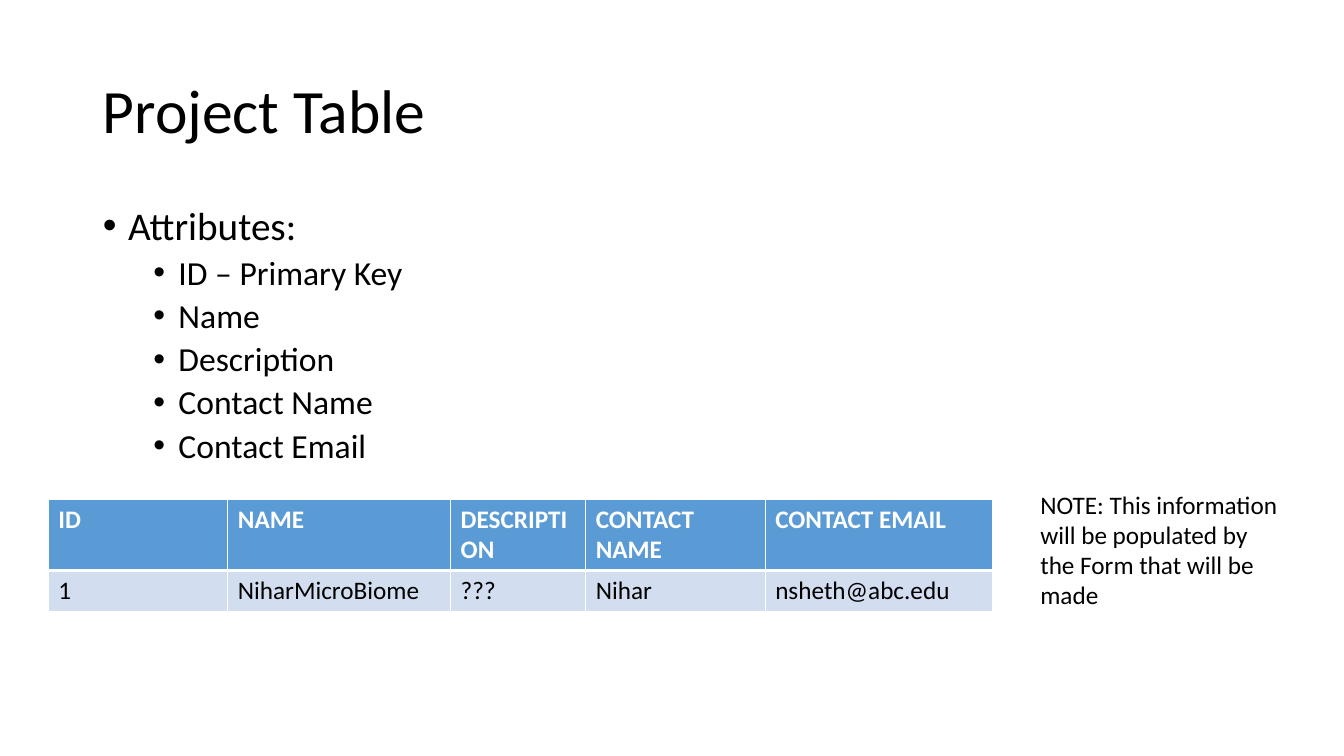
from lxml.etree import SubElement
from pptx import Presentation
from pptx.dml.color import RGBColor
from pptx.enum.text import MSO_ANCHOR, MSO_AUTO_SIZE, PP_ALIGN
from pptx.oxml.ns import qn
from pptx.util import Pt

EMU_PER_PX = 9144  # 100 px to the inch
FONT = "Calibri"
COLORS = {
    "text": "000000",
    "white": "FFFFFF",
    "header": "5B9BD5",
    "row": "D2DEEF",
}

ATTRIBUTES = ["ID – Primary Key", "Name", "Description", "Contact Name", "Contact Email"]
PROJECT_ROWS = [
    ["ID", "NAME", "DESCRIPTION", "CONTACT NAME", "CONTACT EMAIL"],
    ["1", "NiharMicroBiome", "???", "Nihar", "nsheth@abc.edu"],
]
COLUMN_WIDTHS = [178, 221, 134, 178, 226]
ROW_HEIGHTS = [70, 41]


def px(length):
    return length * EMU_PER_PX


def rgb(name):
    return RGBColor.from_string(COLORS[name])


class SlideBuilder:
    """Holds the text style and the slide being filled."""

    def __init__(self, slide):
        self.slide = slide

    def style(self, paragraph, size, color="text", bold=False):
        for run in paragraph.runs:
            run.font.name = FONT
            run.font.size = Pt(size)
            run.font.bold = bold
            run.font.color.rgb = rgb(color)

    def place(self, shape, left, top, width, height):
        shape.left, shape.top = px(left), px(top)
        shape.width, shape.height = px(width), px(height)

    def title(self, text, *box):
        shape = self.slide.shapes.title
        self.place(shape, *box)
        frame = shape.text_frame
        frame.text = text
        frame.auto_size = MSO_AUTO_SIZE.NONE
        frame.vertical_anchor = MSO_ANCHOR.MIDDLE
        paragraph = frame.paragraphs[0]
        paragraph.alignment = PP_ALIGN.LEFT
        paragraph.line_spacing = 0.9
        self.style(paragraph, 44)

    def bullets(self, heading, items, *box):
        shape = self.slide.placeholders[1]
        self.place(shape, *box)
        frame = shape.text_frame
        frame.text = "\n".join([heading, *items])
        frame.auto_size = MSO_AUTO_SIZE.NONE
        for index, paragraph in enumerate(frame.paragraphs):
            level = min(index, 1)
            paragraph.level = level
            paragraph.line_spacing = 0.9
            paragraph.space_before = Pt((10, 5)[level])
            self.style(paragraph, (28, 24)[level])
            self.bullet(paragraph, (25, 75)[level])

    def bullet(self, paragraph, margin):
        properties = paragraph._p.get_or_add_pPr()
        properties.set("marL", str(px(margin)))
        properties.set("indent", str(px(-25)))
        SubElement(properties, qn("a:buFont"), typeface="Arial")
        SubElement(properties, qn("a:buChar"), char="•")

    def table(self, rows, left, top, widths, heights):
        frame = self.slide.shapes.add_table(
            len(rows), len(widths), px(left), px(top), px(sum(widths)), px(sum(heights))
        )
        table = frame.table
        for column, width in zip(table.columns, widths):
            column.width = px(width)
        for row_index, (row, height) in enumerate(zip(rows, heights)):
            table.rows[row_index].height = px(height)
            is_header = row_index == 0
            for column_index, text in enumerate(row):
                cell = table.cell(row_index, column_index)
                cell.text = text
                color = "white" if is_header else "text"
                self.style(cell.text_frame.paragraphs[0], 18, color, is_header)
                self.borders(cell, 1 if is_header else 3, 3 if is_header else 1)
                cell.fill.solid()
                cell.fill.fore_color.rgb = rgb("header" if is_header else "row")

    def borders(self, cell, top, bottom):
        """Draw white cell borders; top and bottom are widths in points."""
        properties = cell._tc.get_or_add_tcPr()
        for side, width in (("L", 1), ("R", 1), ("T", top), ("B", bottom)):
            line = SubElement(properties, qn(f"a:ln{side}"), w=str(Pt(width)))
            fill = SubElement(line, qn("a:solidFill"))
            SubElement(fill, qn("a:srgbClr"), val=COLORS["white"])

    def note(self, text, *box):
        shape = self.slide.shapes.add_textbox(*map(px, box))
        frame = shape.text_frame
        frame.word_wrap = True
        frame.auto_size = MSO_AUTO_SIZE.SHAPE_TO_FIT_TEXT
        frame.text = text
        self.style(frame.paragraphs[0], 18)


def main():
    presentation = Presentation()
    presentation.slide_width, presentation.slide_height = px(1333), px(750)
    builder = SlideBuilder(presentation.slides.add_slide(presentation.slide_layouts[1]))
    builder.title("Project Table", 92, 40, 1150, 145)
    builder.bullets("Attributes:", ATTRIBUTES, 92, 200, 1150, 476)
    builder.table(PROJECT_ROWS, 48, 495, COLUMN_WIDTHS, ROW_HEIGHTS)
    builder.note(
        "NOTE: This information will be populated by the Form that will be made",
        1022, 480, 260, 131,
    )
    presentation.save("out.pptx")


if __name__ == "__main__":
    main()
